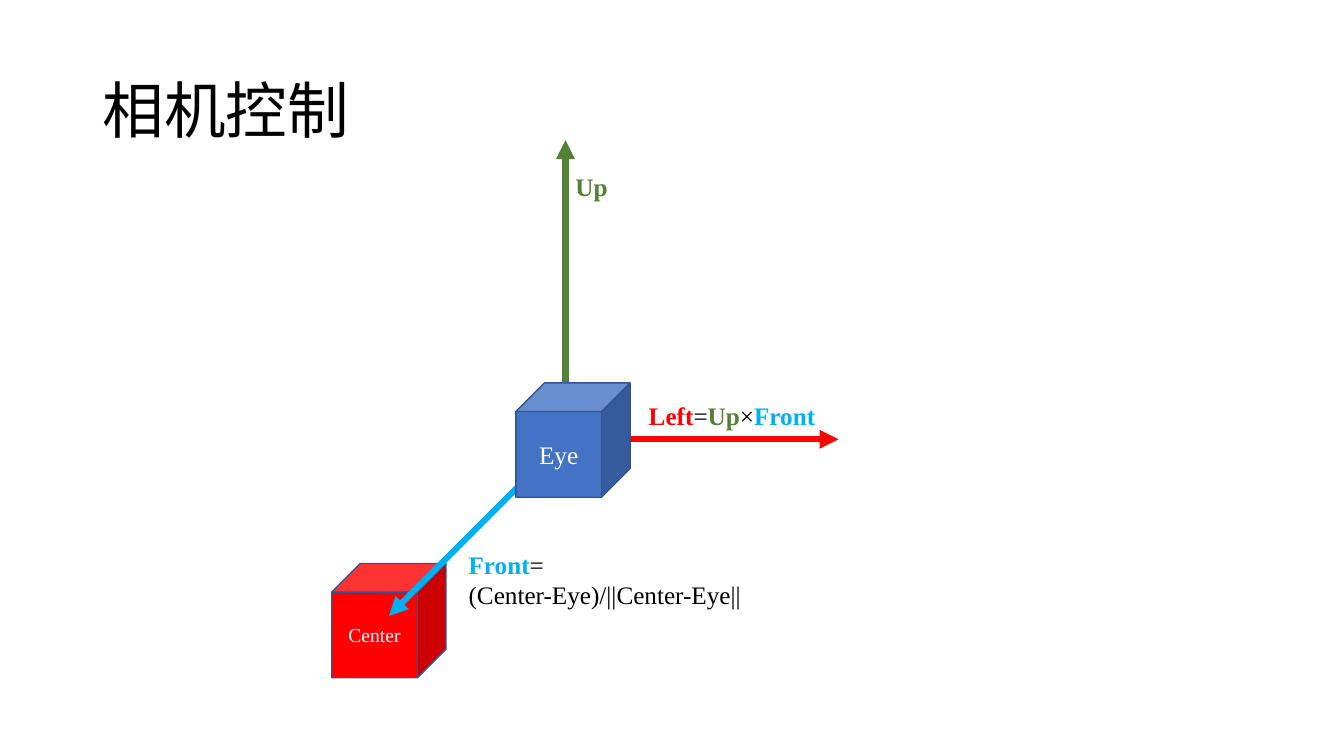
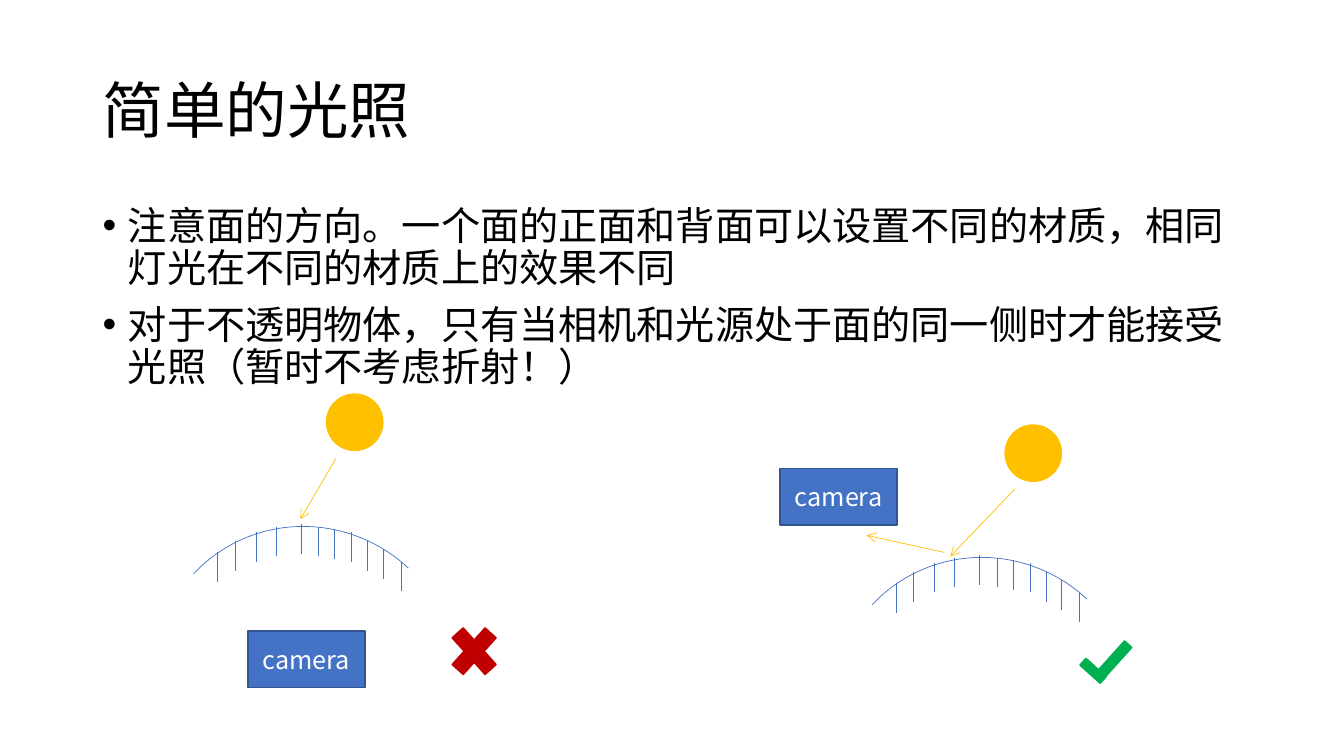
"""Builds two slides: the camera axes and a simple lighting comparison."""
from lxml import etree
from pptx import Presentation
from pptx.dml.color import RGBColor
from pptx.enum import shapes, text
from pptx.oxml.ns import qn
from pptx.util import Cm, Pt

BLACK = RGBColor(0x00, 0x00, 0x00)
WHITE = RGBColor(0xFF, 0xFF, 0xFF)
RED = RGBColor(0xFF, 0x00, 0x00)
DARK_RED = RGBColor(0xC0, 0x00, 0x00)
GREEN = RGBColor(0x54, 0x82, 0x35)
TICK_GREEN = RGBColor(0x00, 0xB0, 0x50)
SKY = RGBColor(0x00, 0xB0, 0xF0)
BLUE = RGBColor(0x44, 0x72, 0xC4)
OUTLINE = RGBColor(0x32, 0x54, 0x91)
YELLOW = RGBColor(0xFF, 0xC0, 0x00)
SERIF = "Times New Roman"
SANS = "Noto Sans CJK SC"
SHAPE = shapes.MSO_SHAPE


def add_block(parent, kind, box, fill, outline, width=1, rotation=0, label="", font=SERIF, size=18):
    sp = parent.add_shape(kind, *map(Cm, box))
    sp.shadow.inherit = False
    sp.rotation = rotation
    if fill is None:
        sp.fill.background()
    else:
        sp.fill.solid()
        sp.fill.fore_color.rgb = fill
    sp.line.color.rgb = outline
    sp.line.width = Pt(width)
    if label:
        tf = sp.text_frame
        tf.vertical_anchor = text.MSO_ANCHOR.MIDDLE
        p = tf.paragraphs[0]
        p.text = label
        p.alignment = text.PP_ALIGN.CENTER
        p.font.name, p.font.size = font, Pt(size)
        p.font.color.rgb = WHITE


def add_line(parent, start, end, color, width, head=None):
    line = parent.add_connector(shapes.MSO_CONNECTOR.STRAIGHT, *map(Cm, start + end))
    line.line.color.rgb = color
    line.line.width = Pt(width)
    if head:
        etree.SubElement(line.line._get_or_add_ln(), qn("a:tailEnd"), type=head)
    etree.SubElement(line._element.spPr, qn("a:effectLst"))


prs = Presentation()
prs.slide_width, prs.slide_height = Cm(33.87), Cm(19.05)

pages = [
    (5, "相机控制", []),
    (1, "简单的光照", [
        "注意面的方向。一个面的正面和背面可以设置不同的材质，相同灯光在不同的材质上的效果不同",
        "对于不透明物体，只有当相机和光源处于面的同一侧时才能接受光照（暂时不考虑折射！）",
    ]),
]
for layout, title, bullets in pages:
    s = prs.slides.add_slide(prs.slide_layouts[layout])
    frames = [(s.shapes.title, [title], 1.01, 3.68, 44, text.MSO_ANCHOR.MIDDLE)]
    if bullets:
        frames.append((s.placeholders[1], bullets, 5.08, 12.09, 28, text.MSO_ANCHOR.TOP))
    for sp, lines, top, height, size, anchor in frames:
        sp.left, sp.top, sp.width, sp.height = map(Cm, (2.33, top, 29.21, height))
        tf = sp.text_frame
        tf.auto_size = text.MSO_AUTO_SIZE.NONE
        tf.vertical_anchor = anchor
        tf.text = "\n".join(lines)
        for p in tf.paragraphs:
            p.alignment = text.PP_ALIGN.LEFT
            p.line_spacing = 0.9
            p.font.name, p.font.size = SERIF, Pt(size)
            p.font.color.rgb = BLACK
            etree.SubElement(p.runs[0]._r.get_or_add_rPr(), qn("a:ea"), typeface=SANS)
            if lines is bullets:
                p.space_before = Pt(10)
                pPr = p._p.get_or_add_pPr()
                pPr.set("marL", str(Cm(0.64)))
                pPr.set("indent", str(Cm(-0.64)))

camera_slide, light_slide = prs.slides

s = camera_slide
add_block(s.shapes, SHAPE.CUBE, (8.36, 14.2, 2.88, 2.88), RED, OUTLINE, label="Center", size=14)
axes = s.shapes.add_group_shape().shapes
eye = (14.25, 11.07)
for tip, color in [((14.25, 3.53), GREEN), ((21.13, 11.07), RED), ((9.8, 15.52), SKY)]:
    add_line(axes, eye, tip, color, 4.5, "triangle")
add_block(axes, SHAPE.CUBE, (13, 9.65, 2.88, 2.88), BLUE, OUTLINE, label="Eye")

labels = [
    ((14.25, 4.19, 1.98, 1.03), True, [[("Up", GREEN)]]),
    ((11.56, 13.72, 9.32, 1.8), True,
     [[("Front", SKY), ("=", BLACK)], [("(Center-Eye)/||Center-Eye||", BLACK)]]),
    ((16.1, 9.96, 5.23, 1.03), False,
     [[("Left", RED), ("=", BLACK), ("Up", GREEN), ("×", BLACK), ("Front", SKY)]]),
]
for box, wrap, lines in labels:
    tf = s.shapes.add_textbox(*map(Cm, box)).text_frame
    tf.word_wrap = wrap
    for i, runs in enumerate(lines):
        p = tf.add_paragraph() if i else tf.paragraphs[0]
        p.font.name, p.font.size = SERIF, Pt(18)
        for content, color in runs:
            r = p.add_run()
            r.text = content
            r.font.bold = color != BLACK
            r.font.color.rgb = color

s = light_slide
hatch_tops = [
    (5.49, 13.92), (5.92, 13.64), (6.45, 13.41), (6.96, 13.28), (7.59, 13.21), (8.03, 13.28),
    (8.43, 13.34), (8.86, 13.41), (9.27, 13.64), (9.65, 13.84), (10.11, 14.15),
]
scenes = [
    (0, 0, (6.25, 15.9), [((8.46, 11.56), (7.57, 13.08))],
     [(SHAPE.MATH_MULTIPLY, (11.15, 15.52, 1.6, 1.78), DARK_RED, 0)]),
    (17.1, 0.78, (19.66, 11.81),
     [((25.58, 12.32), (23.95, 14.02)), ((23.8, 13.92), (21.84, 13.49))],
     [(SHAPE.RECTANGLE, (27.91, 16.08, 0.25, 1.19), TICK_GREEN, 42),
      (SHAPE.RECTANGLE, (27.2, 16.79, 0.69, 0.23), TICK_GREEN, 42)]),
]
for dx, dy, camera, rays, marks in scenes:
    scene = s.shapes.add_group_shape().shapes
    add_block(scene, SHAPE.ARC, (3.91 + dx, 13.23 + dy, 7.59, 7.72), None, BLUE, 0.5, 313)
    add_block(scene, SHAPE.RECTANGLE, camera + (2.95, 1.42), BLUE, OUTLINE,
              label="camera", font=SANS)
    add_block(scene, SHAPE.OVAL, (8.23 + dx, 9.93 + dy, 1.42, 1.42), YELLOW, YELLOW)
    for x, y in hatch_tops:
        add_line(scene, (x + dx, y + dy), (x + dx, y + dy + 0.74), BLUE, 0.5)
    for start, end in rays:
        add_line(scene, start, end, YELLOW, 0.5, "arrow")
    for kind, box, color, rotation in marks:
        add_block(scene, kind, box, color, color, rotation=rotation)

prs.save("out.pptx")
